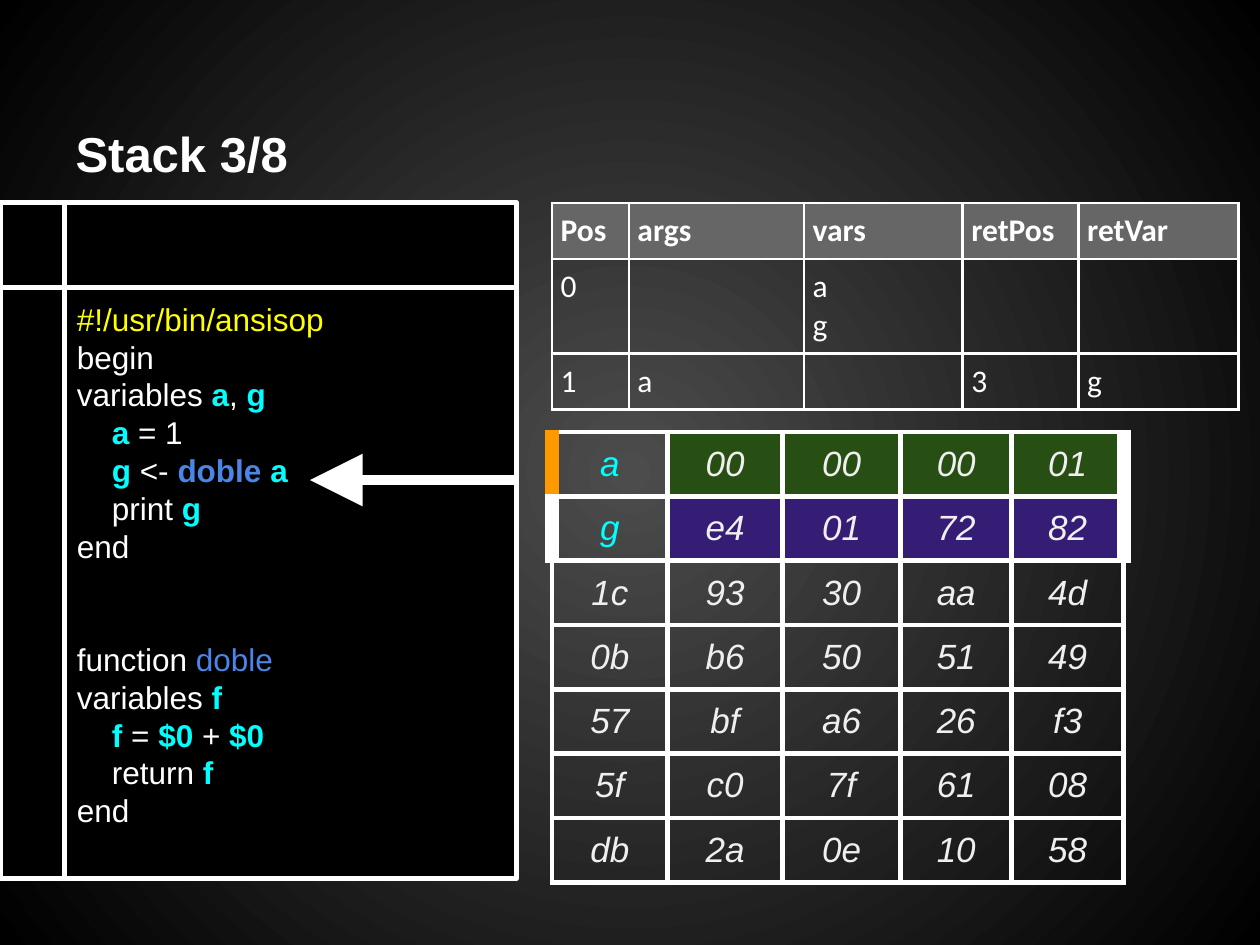
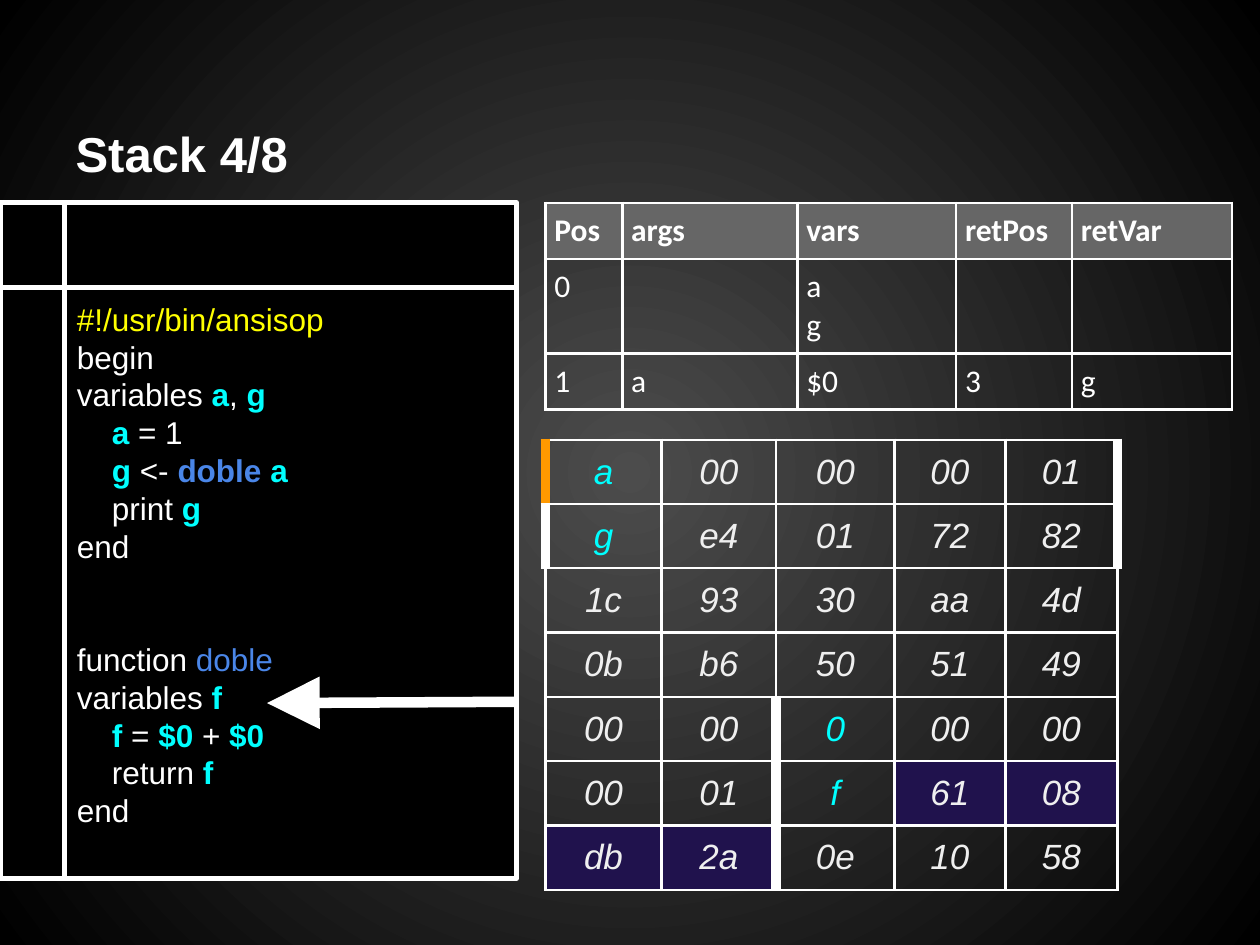
from lxml import etree
from pptx import Presentation
from pptx.dml.color import RGBColor
from pptx.enum.shapes import MSO_CONNECTOR, MSO_SHAPE
from pptx.enum.text import MSO_ANCHOR, PP_ALIGN
from pptx.oxml.ns import qn
from pptx.util import Inches, Pt

COLORS = {
    "white": "FFFFFF", "black": "000000", "glow": "4C4C4C", "header": "666666",
    "yellow": "FFFF00", "cyan": "00FFFF", "blue": "4A86E8", "byte": "EFEFEF",
    "orange": "FF9900", "green": "274E13", "purple": "351C75", "indigo": "20124D",
}

CODE_STYLES = {
    "plain": ("white", False), "shebang": ("yellow", False),
    "variable": ("cyan", True), "function": ("blue", False), "call": ("blue", True),
}
MAIN_CODE = [
    [("#!/usr/bin/ansisop", "shebang")],
    [("begin", "plain")],
    [("variables ", "plain"), ("a", "variable"), (", ", "plain"), ("g", "variable")],
    [("    ", "plain"), ("a", "variable"), (" = 1", "plain")],
    [("    ", "plain"), ("g", "variable"), (" <- ", "plain"),
     ("doble ", "call"), ("a", "variable")],
    [("    print ", "plain"), ("g", "variable")],
    [("end", "plain")],
]
FUNCTION_CODE = [
    [("function ", "plain"), ("doble", "function")],
    [("variables ", "plain"), ("f", "variable")],
    [("    ", "plain"), ("f", "variable"), (" = ", "plain"), ("$0", "variable"),
     (" + ", "plain"), ("$0", "variable")],
    [("    return ", "plain"), ("f", "variable")],
    [("end", "plain")],
]
CODE_PITCH = 21.6

STACK_HEADER = ["Pos", "args", "vars", "retPos", "retVar"]
STACK_WIDTHS = [0.61, 1.39, 1.26, 0.92, 1.27]
STACK_HEIGHTS = [0.44, 0.75, 0.44]
MEMORY_WIDTHS = [0.92, 0.91, 0.94, 0.88, 0.89]
MEMORY_ROW = 0.51
MEMORY_TOP_ROWS = ["a 00 00 00 01", "g e4 01 72 82", "1c 93 30 aa 4d", "0b b6 50 51 49"]

# Bars are (column boundary, rows, colour): thick edges in the memory table.
VARIABLE_BARS = [(0, [0], "orange"), (0, [1], "white"), (5, [0, 1], "white")]

SLIDES = [
    {
        "title": "Stack 3/8", "left": 4.38,
        "arrow": (4.1, 3.81, 2.46, 3.81),
        "frames": [["0", "", "a\ng", "", ""], ["1", "a", "", "3", "g"]],
        "memory_top": 3.43, "line": 3, "bar": 9,
        "memory": MEMORY_TOP_ROWS + ["57 bf a6 26 f3", "5f c0 7f 61 08", "db 2a 0e 10 58"],
        "names": [(0, 0), (1, 0)],
        "fills": {"green": [(0, col) for col in range(1, 5)],
                  "purple": [(1, col) for col in range(1, 5)]},
        "bars": VARIABLE_BARS,
    },
    {
        "title": "Stack 4/8", "left": 4.33,
        "arrow": (4.1, 5.57, 2.12, 5.58),
        "frames": [["0", "", "a\ng", "", ""], ["1", "a", "$0", "3", "g"]],
        "memory_top": 3.49, "line": 1.5, "bar": 6,
        "memory": MEMORY_TOP_ROWS + ["00 00 0 00 00", "00 01 f 61 08", "db 2a 0e 10 58"],
        "names": [(0, 0), (1, 0), (4, 2), (5, 2)],
        "fills": {"indigo": [(5, 3), (5, 4), (6, 0), (6, 1)]},
        "bars": VARIABLE_BARS + [(2, [4, 5, 6], "white")],
    },
]


def rgb(name):
    return RGBColor.from_string(COLORS[name])


def style_font(font, color, **values):
    font.color.rgb = rgb(color)
    for name, value in values.items():
        setattr(font, name, value)


def set_insets(target, inset):
    for side in ("left", "top", "right", "bottom"):
        setattr(target, f"margin_{side}", Inches(inset))


def paint_background(master):
    fill = master.background.fill
    fill.gradient()
    for stop, position, color in zip(fill.gradient_stops, (0, 1), ("glow", "black")):
        stop.position = position
        stop.color.rgb = rgb(color)
    linear = next(master.background._cSld.iter(qn("a:lin")))
    circle = etree.Element(qn("a:path"), path="circle")
    etree.SubElement(circle, qn("a:fillToRect"), l="50000", t="50000", r="50000", b="50000")
    linear.getparent().replace(linear, circle)


def add_title(page, text):
    title = page.shapes.title
    title.left, title.top, title.width, title.height = map(Inches, (0.5, 0.3, 2.46, 1.25))
    frame = title.text_frame
    frame.text = text
    frame.vertical_anchor = MSO_ANCHOR.BOTTOM
    set_insets(frame, 0.1)
    para = frame.paragraphs[0]
    para.alignment = PP_ALIGN.LEFT
    style_font(para.runs[0].font, "white", name="Arial", size=Pt(28), bold=True)


def add_code(page):
    box = page.shapes.add_shape(MSO_SHAPE.FLOWCHART_INTERNAL_STORAGE,
                                *map(Inches, (0, 1.61, 4.1, 5.36)))
    box.shadow.inherit = False
    box.fill.solid()
    box.fill.fore_color.rgb = rgb("black")
    box.line.color.rgb = rgb("white")
    box.line.width = Pt(3)
    frame = box.text_frame
    frame.word_wrap = True
    frame.vertical_anchor = MSO_ANCHOR.TOP
    set_insets(frame, 0.1)
    for number, spans in enumerate(MAIN_CODE + FUNCTION_CODE):
        para = frame.add_paragraph() if number else frame.paragraphs[0]
        para.alignment = PP_ALIGN.LEFT
        para.line_spacing = Pt(CODE_PITCH)
        if number == len(MAIN_CODE):
            para.space_before = Pt(2 * CODE_PITCH)
        for text, style in spans:
            span = para.add_run()
            span.text = text
            color, bold = CODE_STYLES[style]
            style_font(span.font, color, name="Arial", size=Pt(18), bold=bold)


def add_arrow(page, ends):
    arrow = page.shapes.add_connector(MSO_CONNECTOR.STRAIGHT, *map(Inches, ends))
    arrow.line.color.rgb = rgb("white")
    arrow.line.width = Pt(6)
    etree.SubElement(arrow.line._get_or_add_ln(), qn("a:tailEnd"),
                     type="triangle", w="lg", len="lg")
    etree.SubElement(arrow._element.spPr, qn("a:effectLst"))


def set_borders(cell, edges):
    """Draw the edges, given as {side: (colour, points)} in the order L, R, T, B."""
    properties = cell._tc.get_or_add_tcPr()
    for position, (side, (color, points)) in enumerate(edges.items()):
        line = etree.Element(qn(f"a:ln{side}"), w=str(int(Pt(points))))
        fill = etree.SubElement(line, qn("a:solidFill"))
        etree.SubElement(fill, qn("a:srgbClr"), val=COLORS[color])
        properties.insert(position, line)


def add_grid(page, left, top, widths, heights, rows, inset, format_cell):
    """Add a table; format_cell(row, col) gives fill, edges, anchor, align and font."""
    frame = page.shapes.add_table(len(rows), len(widths), Inches(left), Inches(top),
                                  Inches(sum(widths)), Inches(sum(heights)))
    table = frame.table
    table.first_row = table.horz_banding = False
    for column, width in zip(table.columns, widths):
        column.width = Inches(width)
    for row, height in zip(table.rows, heights):
        row.height = Inches(height)
    for r, texts in enumerate(rows):
        for c, text in enumerate(texts):
            cell = table.cell(r, c)
            look = format_cell(r, c)
            cell.text = text
            cell.vertical_anchor = look["anchor"]
            set_insets(cell, inset)
            if look["fill"]:
                cell.fill.solid()
                cell.fill.fore_color.rgb = rgb(look["fill"])
            else:
                cell.fill.background()
            set_borders(cell, look["edges"])
            for para in cell.text_frame.paragraphs:
                para.alignment = look["align"]
                for span in para.runs:
                    style_font(span.font, **look["font"])


def add_stack(page, slide):
    def format_cell(row, col):
        return {
            "fill": None if row else "header",
            "edges": {side: ("white", 1.5) for side in "LRTB"},
            "anchor": MSO_ANCHOR.TOP, "align": PP_ALIGN.JUSTIFY,
            "font": dict(color="white", name="Calibri", size=Pt(18), bold=row == 0),
        }

    add_grid(page, slide["left"], 1.61, STACK_WIDTHS, STACK_HEIGHTS,
             [STACK_HEADER] + slide["frames"], 0.07, format_cell)


def add_memory(page, slide):
    fills = {place: color for color, places in slide["fills"].items() for place in places}
    bars = {(row, boundary): (color, slide["bar"])
            for boundary, rows, color in slide["bars"] for row in rows}
    thin = ("white", slide["line"])

    def format_cell(row, col):
        return {
            "fill": fills.get((row, col)),
            "edges": {"L": bars.get((row, col), thin),
                      "R": bars.get((row, col + 1), thin), "T": thin, "B": thin},
            "anchor": MSO_ANCHOR.MIDDLE, "align": PP_ALIGN.CENTER,
            "font": dict(color="cyan" if (row, col) in slide["names"] else "byte",
                         name="Arial", size=Pt(20), italic=True, bold=False),
        }

    rows = [line.split() for line in slide["memory"]]
    add_grid(page, slide["left"], slide["memory_top"], MEMORY_WIDTHS,
             [MEMORY_ROW] * len(rows), rows, 0.1, format_cell)


def main():
    deck = Presentation()
    deck.slide_width, deck.slide_height = Inches(10), Inches(7.5)
    paint_background(deck.slide_master)
    title_only = deck.slide_layouts.get_by_name("Title Only")
    for slide in SLIDES:
        page = deck.slides.add_slide(title_only)
        add_title(page, slide["title"])
        add_code(page)
        add_arrow(page, slide["arrow"])
        add_stack(page, slide)
        add_memory(page, slide)
    deck.save("out.pptx")


if __name__ == "__main__":
    main()
